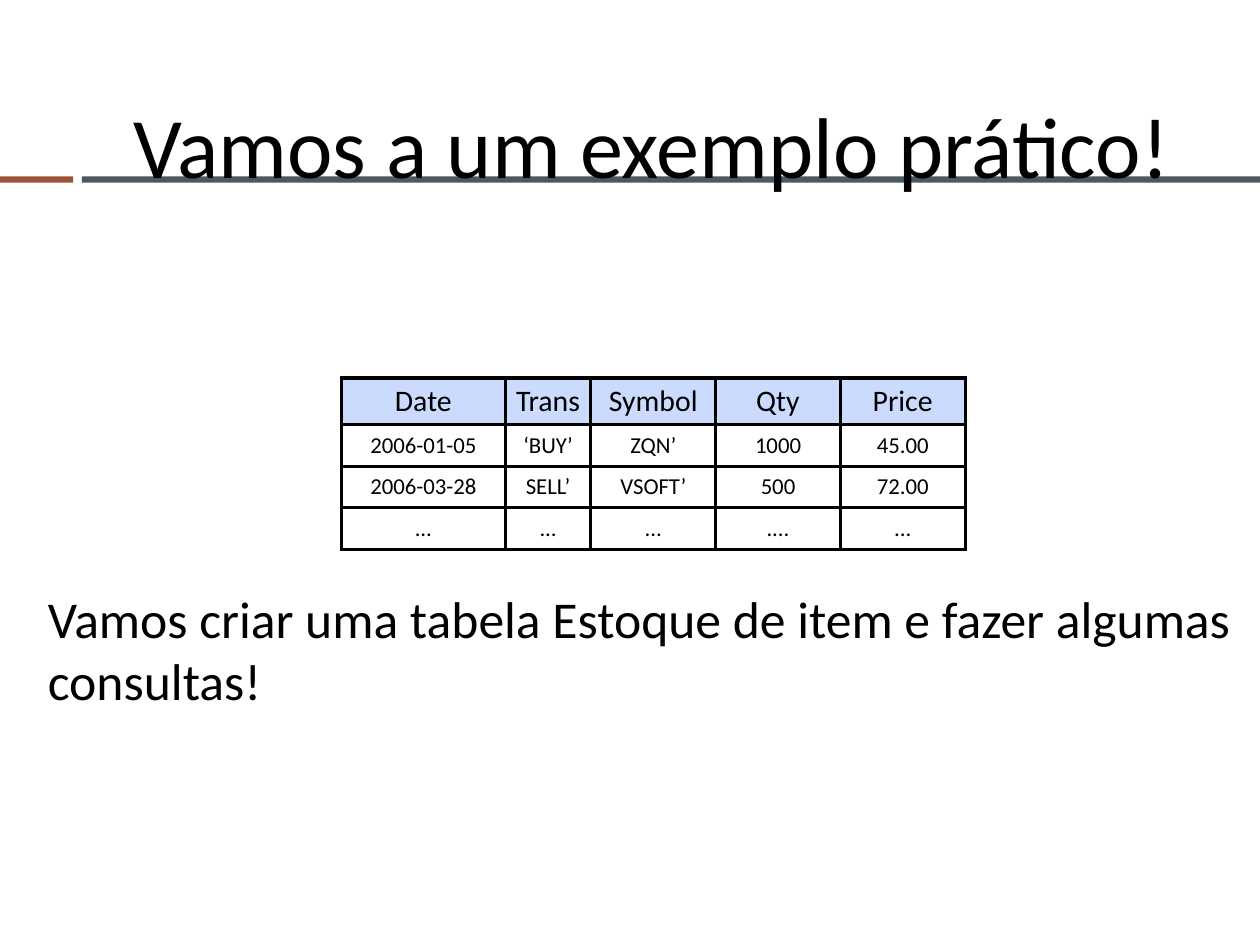
from lxml.etree import SubElement as Sub
from pptx import Presentation
from pptx.dml.color import RGBColor
from pptx.enum.shapes import MSO_SHAPE as Shape
from pptx.enum.text import MSO_ANCHOR as Anchor, PP_ALIGN as Align
from pptx.oxml.ns import qn
from pptx.util import Inches, Pt

deck = Presentation()
deck.slide_width, deck.slide_height = Inches(10), Inches(7.5)
W, H = deck.slide_width, deck.slide_height
slide = deck.slides.add_slide(deck.slide_layouts[5])
shapes = slide.shapes


def color(code):
    return RGBColor.from_string(code)


def write(frame, text, size, align=Align.LEFT):
    frame.text = text
    para = frame.paragraphs[0]
    para.alignment = align
    for key, value in {"name": "Calibri", "size": Pt(size), "bold": False}.items():
        setattr(para.font, key, value)
    para.font.color.rgb = color("000000")


# Two-part rule across the slide
for left, wide, code in [(0, 0.058, "9C5238"), (0.065, 0.935, "4B5A60")]:
    bar = shapes.add_shape(Shape.RECTANGLE, int(left * W), Inches(1.4),
                           int(wide * W), Inches(0.05))
    bar.shadow.inherit = False
    bar.fill.solid()
    bar.fill.fore_color.rgb = color(code)
    bar.line.fill.background()

# Title, in front of the rule
title = shapes.title
place = {"left": 0.096 * W, "top": 0.027 * H, "width": 0.872 * W, "height": 0.25 * H}
for key, value in place.items():
    setattr(title, key, int(value))
write(title.text_frame, "Vamos a um exemplo prático!", 49.2)
title.text_frame.vertical_anchor = Anchor.MIDDLE
shapes._spTree.append(title._element)

# Closing sentence
note = shapes.add_textbox(int(0.038 * W), Inches(4.63), int(0.961 * W), Inches(1.04))
look = {"word_wrap": True, "vertical_anchor": Anchor.MIDDLE, "margin_left": 0,
        "margin_right": 0, "margin_top": 0, "margin_bottom": 0}
for key, value in look.items():
    setattr(note.text_frame, key, value)
write(note.text_frame,
      "Vamos criar uma tabela Estoque de item e fazer algumas consultas!", 29.5)

# Stock table
rows = [
    ["Date", "Trans", "Symbol", "Qty", "Price"],
    ["2006-01-05", "‘BUY’", "ZQN’", "1000", "45.00"],
    ["2006-03-28", "SELL’", "VSOFT’", "500", "72.00"],
    ["...", "...", "...", "....", "..."],
]
wides = [1.3, 0.68] + [0.99] * 3
highs = [0.37] + [0.33] * 3
table = shapes.add_table(len(rows), len(wides), Inches(2.71), Inches(3),
                         Inches(sum(wides)), Inches(sum(highs))).table
table.first_row = table.horz_banding = False
for col, wide in zip(table.columns, wides):
    col.width = Inches(wide)
for row, high in zip(table.rows, highs):
    row.height = Inches(high)

pad = Inches(0.04)
style = {"margin_left": pad, "margin_right": pad, "margin_top": pad,
         "margin_bottom": pad, "vertical_anchor": Anchor.MIDDLE}
for r, texts in enumerate(rows):
    for c, text in enumerate(texts):
        cell = table.cell(r, c)
        for key, value in style.items():
            setattr(cell, key, value)
        write(cell.text_frame, text, 13 if r else 17, Align.CENTER)
        # Black border on every side
        props = cell._tc.get_or_add_tcPr()
        for side in ("a:lnL", "a:lnR", "a:lnT", "a:lnB"):
            line = Sub(props, qn(side), w=str(Pt(2)))
            Sub(Sub(line, qn("a:solidFill")), qn("a:srgbClr"), val="000000")
        if r:
            cell.fill.background()
        else:
            cell.fill.solid()
            cell.fill.fore_color.rgb = color("CADBFE")

deck.save("out.pptx")
